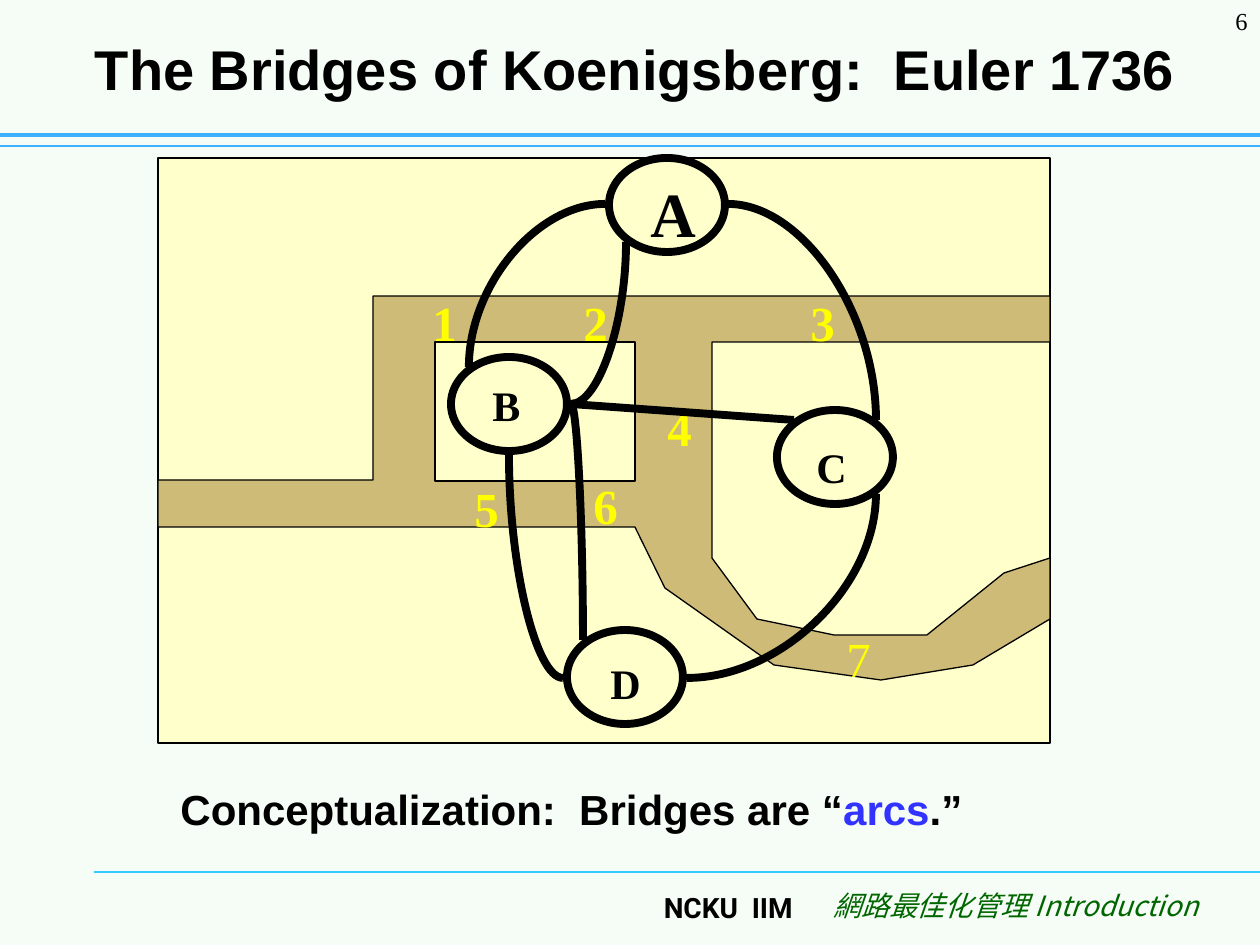
from dataclasses import dataclass

from lxml.etree import SubElement
from pptx import Presentation
from pptx.dml.color import RGBColor
from pptx.enum.shapes import MSO_CONNECTOR, MSO_SHAPE
from pptx.enum.text import MSO_ANCHOR, PP_ALIGN
from pptx.oxml.ns import qn
from pptx.util import Emu, Pt

PX_PER_INCH = 126


@dataclass(frozen=True)
class Theme:
    background: str = "F6FCF6"
    black: str = "000000"
    land: str = "FFFFCC"
    river: str = "CDBB77"
    bridge: str = "FFFF00"
    accent: str = "3333FF"
    course: str = "006600"
    header_rule: str = "3DB0FF"
    footer_rule: str = "33CCFF"
    sans: str = "Arial"
    serif: str = "Times New Roman"
    footer_latin: str = "Roboto"
    footer_chinese: str = "Noto Sans CJK SC"
    title_size: int = 32
    caption_size: int = 24
    bridge_size: int = 28
    footer_size: int = 16
    number_size: int = 14
    thin: float = 0.75
    rule: float = 2.5
    thick: float = 4.5


THEME = Theme()

RIVER = [
    (158, 480), (373, 480), (373, 296), (1050, 296), (1050, 342), (712, 342),
    (712, 558), (757, 619), (834, 635), (927, 635), (1004, 573), (1050, 558),
    (1050, 619), (973, 665), (881, 680), (774, 665), (665, 588), (635, 527),
    (158, 527),
]
# Bridge number, left, top, bold
BRIDGES = [
    ("1", 420, 286, True), ("2", 571, 286, True), ("4", 655, 391, True),
    ("3", 798, 286, True), ("7", 834, 622, False), ("6", 581, 469, True),
    ("5", 462, 472, True),
]
# Land mass, ellipse left and top, label left and top, label size
NODES = [
    ("A", 609, 158, 638, 168, 36), ("C", 777, 410, 804, 435, 24),
    ("D", 567, 630, 598, 651, 24), ("B", 451, 357, 480, 373, 24),
]
# Each arc leaves its first point horizontally and meets its second vertically
CURVES = [
    ((605, 204), (469, 367)), ((571, 404), (626, 242)),
    ((571, 404), (583, 640)), ((563, 678), (509, 455)),
    ((687, 678), (876, 494)), ((728, 204), (876, 420)),
]
STRAIGHT_ARC = ((571, 404), (794, 420))


def px(value):
    return Emu(round(value * 914400 / PX_PER_INCH))


def color(code):
    return RGBColor.from_string(code)


def style_shape(shape, fill, width):
    shape.shadow.inherit = False
    if fill:
        shape.fill.solid()
        shape.fill.fore_color.rgb = color(fill)
    else:
        shape.fill.background()
    shape.line.color.rgb = color(THEME.black)
    shape.line.width = Pt(width)


def add_preset(page, kind, area, fill=None, width=THEME.thin):
    shape = page.shapes.add_shape(kind, *map(px, area))
    style_shape(shape, fill, width)


def add_river(page):
    builder = page.shapes.build_freeform(*map(px, RIVER[0]), scale=1.0)
    builder.add_line_segments([(px(x), px(y)) for x, y in RIVER[1:]], close=True)
    style_shape(builder.convert_to_shape(), THEME.river, THEME.thin)


def add_line(page, start, end, ink, width, curved=False):
    kind = MSO_CONNECTOR.CURVE if curved else MSO_CONNECTOR.STRAIGHT
    line = page.shapes.add_connector(kind, *map(px, start + end))
    line.line.color.rgb = color(ink)
    line.line.width = Pt(width)
    properties = line._element.spPr
    if curved:
        properties.find(qn("a:prstGeom")).set("prst", "curvedConnector2")
    SubElement(properties, qn("a:effectLst"))


def add_text(page, area, align=PP_ALIGN.LEFT, anchor=MSO_ANCHOR.TOP):
    box = page.shapes.add_textbox(*map(px, area))
    frame = box.text_frame
    frame.word_wrap = True
    frame.vertical_anchor = anchor
    para = frame.paragraphs[0]
    para.alignment = align
    return para


def add_span(para, text, font, size, ink=THEME.black, bold=True, italic=False):
    span = para.add_run()
    span.text = text
    span.font.name = font
    span.font.size = Pt(size)
    span.font.bold = bold
    span.font.italic = italic
    span.font.color.rgb = color(ink)
    SubElement(span.font._element, qn("a:ea")).set("typeface", font)


def add_frame(page):
    # Rules, footer and page number
    add_line(page, (94, 872), (1260, 872), THEME.footer_rule, THEME.thin)
    add_line(page, (0, 146), (1260, 146), THEME.header_rule, THEME.thin)
    add_line(page, (0, 135), (1260, 135), THEME.header_rule, THEME.rule)
    para = add_text(page, (600, 884, 205, 57), PP_ALIGN.RIGHT)
    add_span(para, "NCKU  IIM", THEME.footer_latin, THEME.footer_size)
    para = add_text(page, (806, 882, 405, 63), PP_ALIGN.RIGHT)
    add_span(para, "網路最佳化管理 Introduction", THEME.footer_chinese,
             THEME.footer_size, THEME.course, bold=False, italic=True)
    para = add_text(page, (1155, 0, 105, 63), PP_ALIGN.RIGHT)
    add_span(para, "6", THEME.serif, THEME.number_size, bold=False)
    # Title
    para = add_text(page, (53, 10, 1165, 116), PP_ALIGN.CENTER, MSO_ANCHOR.MIDDLE)
    add_span(para, "The Bridges of Koenigsberg:  Euler 1736",
             THEME.sans, THEME.title_size)


def add_map(page):
    # Land, river and island
    add_preset(page, MSO_SHAPE.RECTANGLE, (158, 158, 892, 585), THEME.land)
    add_preset(page, MSO_SHAPE.RECTANGLE, (420, 358, 246, 154), THEME.land)
    add_river(page)
    add_preset(page, MSO_SHAPE.RECTANGLE, (435, 342, 200, 139), THEME.land)
    # Bridge numbers
    for number, left, top, bold in BRIDGES:
        para = add_text(page, (left, top, 81, 72))
        add_span(para, number, THEME.serif, THEME.bridge_size, THEME.bridge, bold)


def add_caption(page):
    para = add_text(page, (168, 777, 966, 63))
    for text, ink in (("Conceptualization:  Bridges are “", THEME.black),
                      ("arcs", THEME.accent), (".”", THEME.black)):
        add_span(para, text, THEME.sans, THEME.caption_size, ink)


def add_graph(page):
    # Land masses as nodes
    for name, left, top, label_left, label_top, size in NODES:
        para = add_text(page, (label_left, label_top, 108, 63))
        add_span(para, name, THEME.serif, size)
        add_preset(page, MSO_SHAPE.OVAL, (left, top, 116, 94), width=THEME.thick)
    # Bridges as arcs
    for start, end in CURVES:
        add_line(page, start, end, THEME.black, THEME.thick, curved=True)
    add_line(page, *STRAIGHT_ARC, THEME.black, THEME.thick)


def main():
    deck = Presentation()
    deck.slide_width, deck.slide_height = px(1260), px(945)
    page = deck.slides.add_slide(deck.slide_layouts[6])
    page.background.fill.solid()
    page.background.fill.fore_color.rgb = color(THEME.background)
    add_frame(page)
    add_map(page)
    add_caption(page)
    add_graph(page)
    deck.save("out.pptx")


if __name__ == "__main__":
    main()
